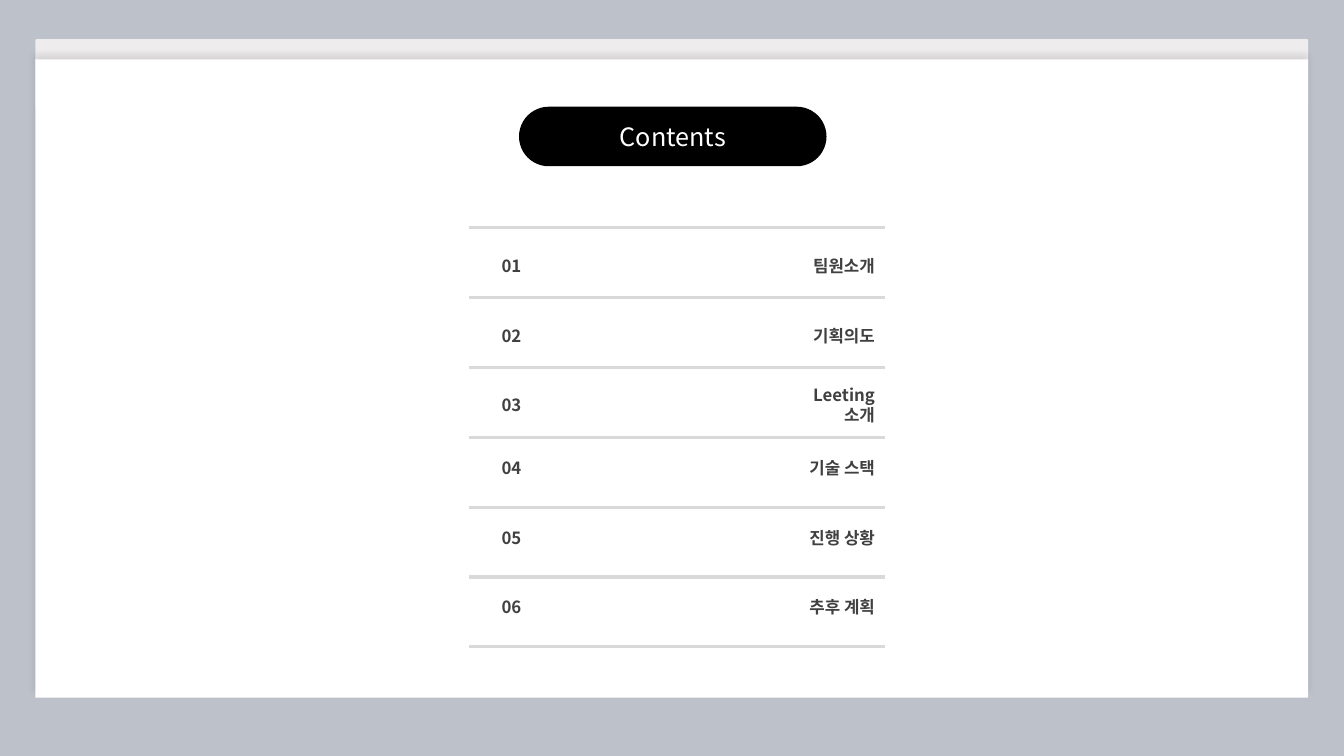
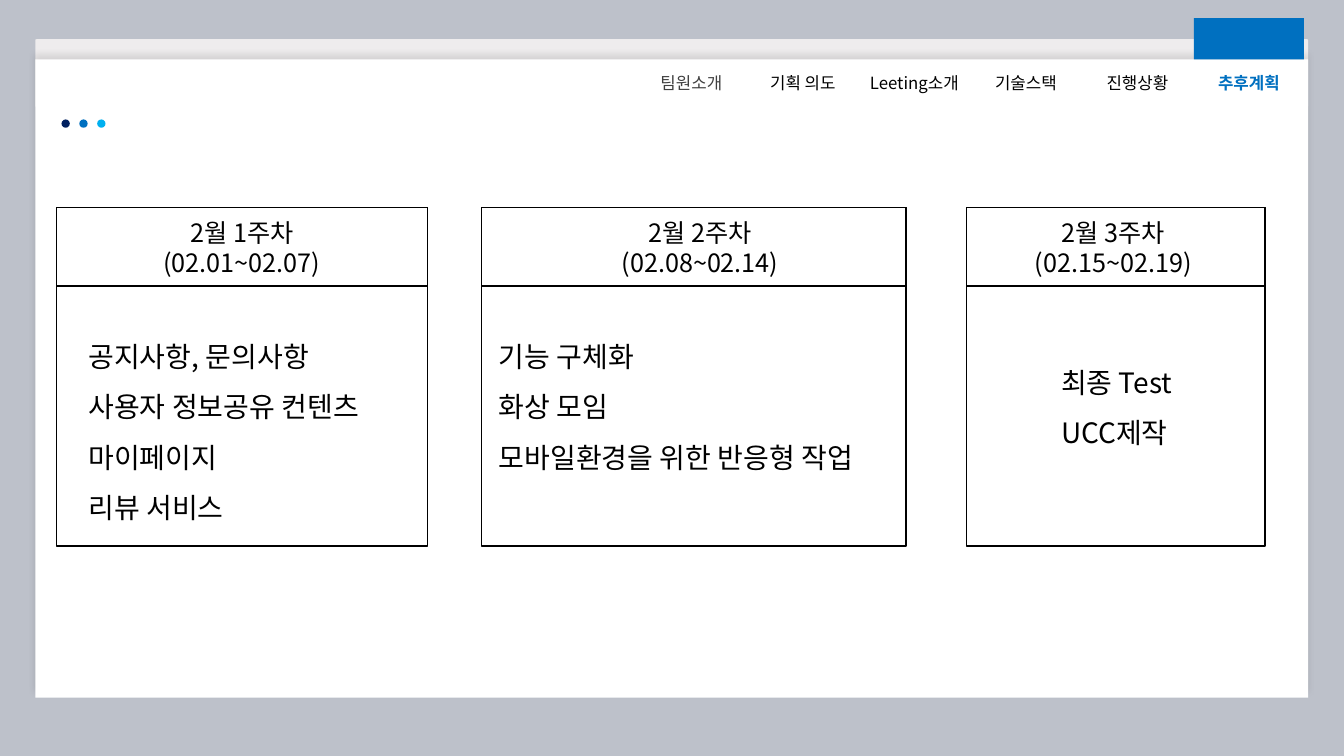
from lxml import etree
from pptx import Presentation
from pptx.dml.color import RGBColor
from pptx.enum.shapes import MSO_CONNECTOR, MSO_SHAPE
from pptx.enum.text import MSO_ANCHOR, PP_ALIGN
from pptx.oxml.ns import qn
from pptx.util import Cm, Pt

RECTANGLE, ROUNDED, OVAL = MSO_SHAPE.RECTANGLE, MSO_SHAPE.ROUNDED_RECTANGLE, MSO_SHAPE.OVAL
STRAIGHT = MSO_CONNECTOR.STRAIGHT
TOP, MIDDLE = MSO_ANCHOR.TOP, MSO_ANCHOR.MIDDLE
LEFT, CENTER, RIGHT = PP_ALIGN.LEFT, PP_ALIGN.CENTER, PP_ALIGN.RIGHT

FONT = "Noto Sans CJK KR"
BACKGROUND, BAND, WHITE, BLACK = "BDC1CA", "EEECED", "FFFFFF", "000000"
GRAY, RULE = "404040", "D9D9D9"
NAVY, BLUE, SKY = "002060", "0070C0", "00B0F0"

CONTENTS = [
    ("팀원소개", 0.95),
    ("기획의도", 0.95),
    ("Leeting 소개", 0.95),
    ("기술 스택", 0.76),
    ("진행 상황", 0.76),
    ("추후 계획", 0.76),
]
MENU = ["팀원소개", "기획 의도", "Leeting소개", "기술스택", "진행상황", "추후계획"]
WEEKS = [
    {
        "left": 1.42, "width": 9.35, "indent": 0.56, "drop": 2.77, "shift": 0,
        "heading": ["2월 1주차", "(02.01~02.07)"],
        "tasks": ["공지사항, 문의사항", "사용자 정보공유 컨텐츠", "마이페이지", "리뷰 서비스"],
    },
    {
        "left": 12.14, "width": 10.69, "indent": 0.18, "drop": 2.77, "shift": 0.16,
        "heading": ["2월 2주차", "(02.08~02.14)"],
        "tasks": ["기능 구체화", "화상 모임", "모바일환경을 위한 반응형 작업"],
    },
    {
        "left": 24.36, "width": 7.52, "indent": 2.13, "drop": 3.43, "shift": -0.06,
        "heading": ["2월 3주차", "(02.15~02.19)"],
        "tasks": ["최종 Test", "UCC제작"],
    },
]


def color(value):
    """Turn a hex string into a colour."""
    return RGBColor.from_string(value)


def box(left, top, width, height):
    """Turn centimetres into a position and size."""
    return Cm(left), Cm(top), Cm(width), Cm(height)


def add_shape(slide, kind, area, fill=None, line=None):
    """Add a flat preset shape with an optional fill and outline."""
    shape = slide.shapes.add_shape(kind, *box(*area))
    shape.shadow.inherit = False
    if fill:
        shape.fill.solid()
        shape.fill.fore_color.rgb = color(fill)
    else:
        shape.fill.background()
    if line:
        shape.line.color.rgb = color(line)
        shape.line.width = Pt(1)
    else:
        shape.line.fill.background()
    return shape


def format_text(frame, size, ink, align=LEFT, bold=False, spacing=None):
    """Format every paragraph and run of a text frame."""
    for paragraph in frame.paragraphs:
        paragraph.alignment = align
        if spacing:
            paragraph.line_spacing = spacing
        for run in paragraph.runs:
            run.font.name = FONT
            run.font.size = Pt(size)
            run.font.bold = bold
            run.font.color.rgb = color(ink)
            latin = run.font._element.find(qn("a:latin"))
            east_asian = etree.Element(qn("a:ea"), typeface=FONT)
            latin.addnext(east_asian)


def add_text(slide, area, lines, size, ink, anchor=MIDDLE, inset=0.25, **style):
    """Add a wrapping text box with one paragraph per line."""
    frame = slide.shapes.add_textbox(*box(*area)).text_frame
    frame.word_wrap = True
    frame.vertical_anchor = anchor
    frame.margin_left = frame.margin_right = Cm(inset)
    frame.text = "\n".join(lines)
    format_text(frame, size, ink, **style)


def add_rule(slide, left, top, width):
    """Add a horizontal gray rule."""
    rule = slide.shapes.add_connector(STRAIGHT, Cm(left), Cm(top), Cm(left + width), Cm(top))
    rule.line.color.rgb = color(RULE)
    rule.line.width = Pt(2.25)
    etree.SubElement(rule._element.spPr, qn("a:effectLst"))


def add_panel_shadow(shape):
    """Give a shape a soft upward shadow."""
    effects = shape._element.spPr.find(qn("a:effectLst"))
    shadow = etree.SubElement(
        effects, qn("a:outerShdw"), blurRad=str(Pt(4)), dist=str(Pt(3)),
        dir="16200000", algn="b", rotWithShape="0")
    shade = etree.SubElement(shadow, qn("a:srgbClr"), val=BLACK)
    etree.SubElement(shade, qn("a:alpha"), val="10000")


def build_master(presentation, slide):
    """Put the background and the white panel on the slide master."""
    master = presentation.slide_master
    master.background.fill.solid()
    master.background.fill.fore_color.rgb = color(BACKGROUND)
    band = add_shape(slide, ROUNDED, (0.89, 0.99, 32.08, 1.7), BAND)
    band.adjustments[0] = 0.015
    panel = add_shape(slide, RECTANGLE, (0.89, 1.5, 32.08, 16.08), WHITE)
    add_panel_shadow(panel)
    for position, shape in enumerate((band, panel), start=2):
        master.shapes._spTree.insert(position, shape._element)


def add_title_pill(slide, text, left, top, width, height):
    """Place the title on a black pill."""
    pill = add_shape(slide, ROUNDED, (left, top, width, height), BLACK)
    pill.adjustments[0] = 0.5
    title = slide.shapes.title
    title._element.addprevious(pill._element)
    title.left, title.top, title.width, title.height = box(left, top, width, height)
    title.text_frame.text = text
    title.text_frame.vertical_anchor = MIDDLE
    format_text(title.text_frame, 18, WHITE, CENTER)


def add_contents_list(slide, left, top, width, pitch):
    """Add numbered rows between horizontal rules."""
    label_width, height = 2.54, 1.2
    for index in range(len(CONTENTS) + 1):
        add_rule(slide, left, top + index * pitch, width)
    for index, (label, offset) in enumerate(CONTENTS):
        row_top = top + index * pitch + offset - height / 2
        add_text(slide, (left + 0.58, row_top, 1.5, height), [f"{index + 1:02}"], 12, GRAY, bold=True)
        add_text(slide, (left + width - label_width, row_top, label_width, height),
                 [label], 12, GRAY, align=RIGHT, bold=True)


def add_menu(slide, left, top, pitch, active):
    """Add the section menu with a marker above the active entry."""
    for index, label in enumerate(MENU):
        ink = BLUE if index == active else BLACK if index else GRAY
        add_text(slide, (left + index * pitch, top, pitch, 0.76), [label], 12, ink,
                 inset=0, align=CENTER, bold=index == active)
    add_shape(slide, RECTANGLE, (left + active * pitch + 0.02, top - 1.24, 2.77, 1.04), BLUE)


def add_dots(slide, left, top):
    """Add the row of three blue dots."""
    for index, fill in enumerate((NAVY, BLUE, SKY)):
        add_shape(slide, OVAL, (left + index * 0.45, top, 0.21, 0.21), fill)


def add_week_card(slide, week, top, height):
    """Add an outlined card with a dated heading and its tasks."""
    left, width, head = week["left"], week["width"], 1.98
    add_shape(slide, RECTANGLE, (left, top, width, height), line=BLACK)
    add_shape(slide, RECTANGLE, (left, top, width, head), line=BLACK)
    add_text(slide, (left + week["shift"], top + 0.01, width, head), week["heading"], 18, BLACK, align=CENTER)
    body = (left + week["indent"], top + week["drop"], width - week["indent"], height - week["drop"])
    add_text(slide, body, week["tasks"], 20, BLACK, anchor=TOP, spacing=1.5)


def build_contents_slide(slide):
    """Build the table of contents."""
    add_title_pill(slide, "Contents", 13.08, 2.69, 7.75, 1.5)
    add_contents_list(slide, 11.81, 5.74, 10.49, 1.76)


def build_plan_slide(slide):
    """Build the weekly plan."""
    add_menu(slide, 16.02, 1.7, 2.81, active=5)
    add_dots(slide, 1.55, 3.01)
    for week in WEEKS:
        add_week_card(slide, week, 5.23, 8.53)


def main():
    """Create and save the presentation."""
    presentation = Presentation()
    presentation.slide_width, presentation.slide_height = Cm(33.87), Cm(19.05)
    title_only, blank = presentation.slide_layouts[5], presentation.slide_layouts[6]
    contents = presentation.slides.add_slide(title_only)
    build_master(presentation, contents)
    build_contents_slide(contents)
    build_plan_slide(presentation.slides.add_slide(blank))
    presentation.save("out.pptx")


if __name__ == "__main__":
    main()
